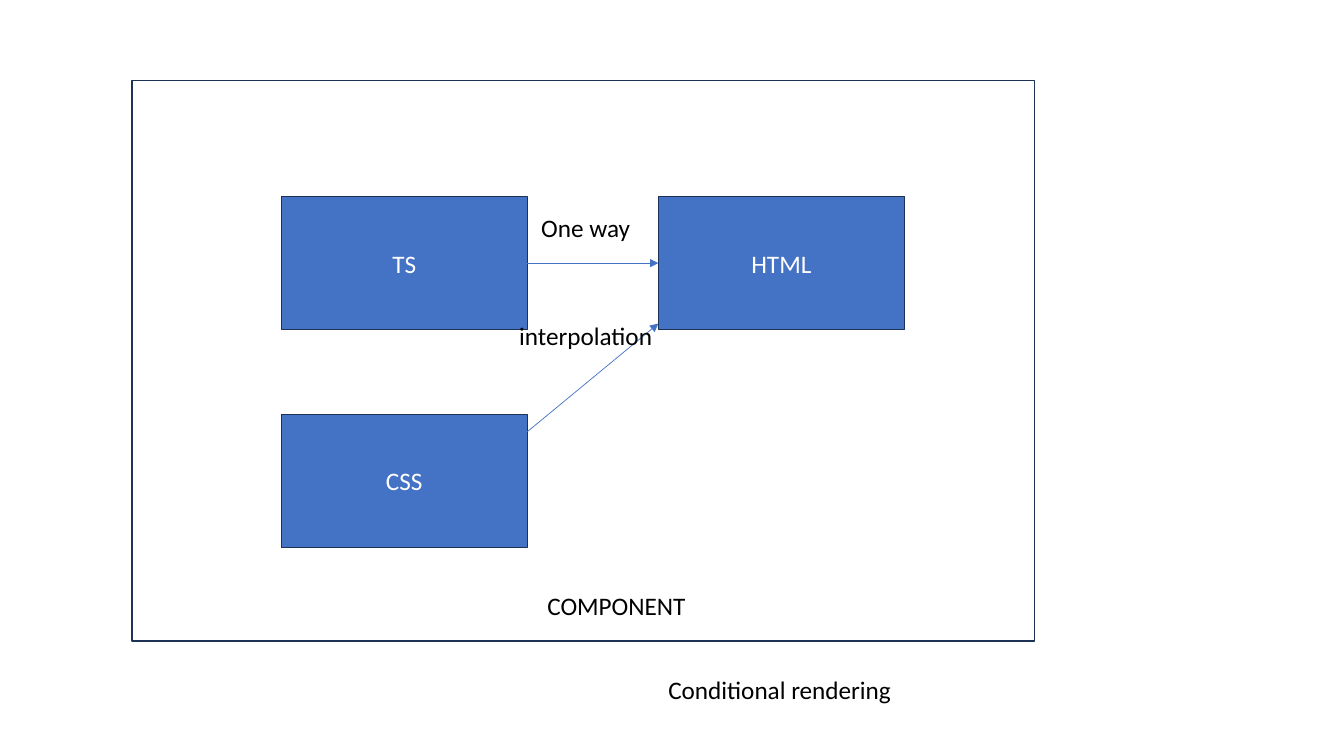
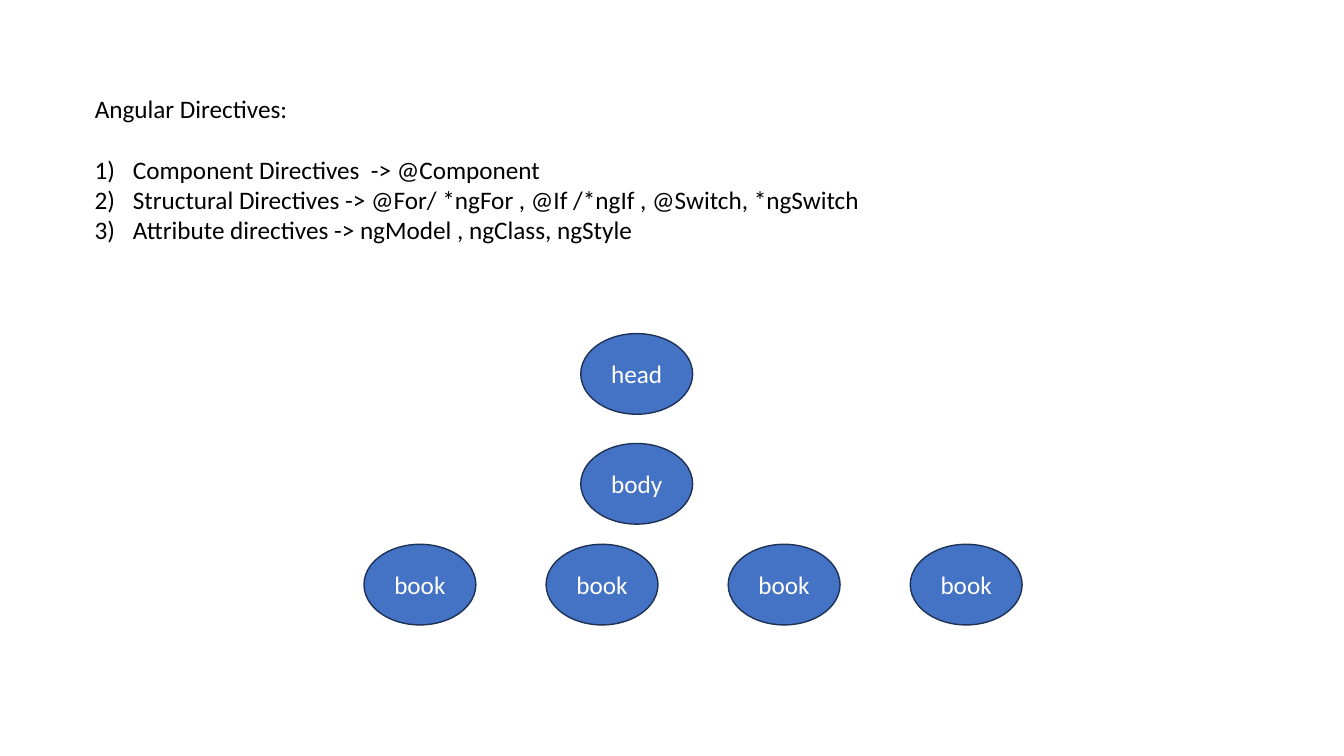
"""Build two slides: the parts of a component, and the Angular directives."""
from dataclasses import dataclass

from lxml.etree import SubElement
from pptx import Presentation
from pptx.dml.color import RGBColor
from pptx.enum.shapes import MSO_CONNECTOR as Connector, MSO_SHAPE as Shape
from pptx.enum.text import MSO_ANCHOR as Anchor, MSO_AUTO_SIZE as AutoSize, PP_ALIGN as Align
from pptx.oxml.ns import qn
from pptx.util import Inches, Pt


@dataclass(frozen=True)
class Theme:
    font: str = "Calibri"
    size: Pt = Pt(18)
    blue: RGBColor = RGBColor(0x44, 0x72, 0xC4)
    navy: RGBColor = RGBColor(0x1E, 0x32, 0x56)
    white: RGBColor = RGBColor(0xFF, 0xFF, 0xFF)
    black: RGBColor = RGBColor(0x00, 0x00, 0x00)
    outline: Pt = Pt(1)
    arrow: Pt = Pt(0.5)


theme = Theme()


def write(shape, lines, color, align, anchor):
    frame = shape.text_frame
    frame.word_wrap = True
    frame.vertical_anchor = anchor
    frame.text = "\n".join(lines)
    for paragraph in frame.paragraphs:
        paragraph.alignment = align
        paragraph.font.name = theme.font
        paragraph.font.size = theme.size
        paragraph.font.color.rgb = color


def add_outlined(slide, kind, left, top, width, height, label=None):
    shape = slide.shapes.add_shape(kind, Inches(left), Inches(top), Inches(width), Inches(height))
    shape.shadow.inherit = False
    shape.line.color.rgb = theme.navy
    shape.line.width = theme.outline
    if label:
        shape.fill.solid()
        shape.fill.fore_color.rgb = theme.blue
        write(shape, [label], theme.white, Align.CENTER, Anchor.MIDDLE)
    else:
        shape.fill.background()
    return shape


presentation = Presentation()
presentation.slide_width = Inches(13.33)
presentation.slide_height = Inches(7.5)
title_only, blank = presentation.slide_layouts[5], presentation.slide_layouts[6]

slide = presentation.slides.add_slide(blank)
boxes = {}
for label, left, top in [("HTML", 6.53, 1.95), ("TS", 2.79, 1.95), ("CSS", 2.79, 4.11)]:
    boxes[label] = add_outlined(slide, Shape.RECTANGLE, left, top, 2.44, 1.32, label)
add_outlined(slide, Shape.RECTANGLE, 1.31, 0.8, 8.95, 5.56)

binding = slide.shapes.add_connector(
    Connector.STRAIGHT, Inches(5.23), Inches(2.61), Inches(6.53), Inches(2.61))
binding.begin_connect(boxes["TS"], 3)
binding.end_connect(boxes["HTML"], 1)
styling = slide.shapes.add_connector(
    Connector.STRAIGHT, Inches(5.04), Inches(4.44), Inches(6.53), Inches(3.21))
for arrow in (binding, styling):
    arrow.line.color.rgb = theme.blue
    arrow.line.width = theme.arrow
    SubElement(arrow.line._get_or_add_ln(), qn("a:tailEnd"), type="triangle")
    SubElement(arrow._element.spPr, qn("a:effectLst"))

for text, left, top, width in [
    ("COMPONENT", 5.33, 5.81, 3.88),
    ("One way", 5.27, 2.06, 1.44),
    ("interpolation", 5.05, 3.13, 1.81),
    ("Conditional rendering", 6.53, 6.64, 3.24),
]:
    caption = slide.shapes.add_textbox(Inches(left), Inches(top), Inches(width), Inches(0.4))
    write(caption, [text], theme.black, Align.LEFT, Anchor.TOP)
    caption.text_frame.auto_size = AutoSize.SHAPE_TO_FIT_TEXT

slide = presentation.slides.add_slide(title_only)
title = slide.shapes.title
title.left, title.top, title.width, title.height = map(Inches, (0.84, 0.88, 11.68, 0.4))
write(title, ["Angular Directives:"], theme.black, Align.LEFT, Anchor.TOP)
title.text_frame.auto_size = AutoSize.NONE

directives = slide.shapes.add_textbox(Inches(0.84), Inches(1.48), Inches(11.68), Inches(1.01))
write(directives, [
    "Component Directives  -> @Component",
    "Structural Directives -> @For/ *ngFor , @If /*ngIf , @Switch, *ngSwitch",
    "Attribute directives -> ngModel , ngClass, ngStyle",
], theme.black, Align.LEFT, Anchor.TOP)
directives.text_frame.auto_size = AutoSize.SHAPE_TO_FIT_TEXT
for paragraph in directives.text_frame.paragraphs:
    properties = paragraph._p.get_or_add_pPr()
    properties.set("marL", str(Inches(0.38)))
    properties.set("indent", str(-Inches(0.38)))
    numbering = properties.makeelement(qn("a:buAutoNum"), {"type": "arabicParenR"})
    properties.insert(0, numbering)

nodes = [("head", 5.76, 3.31), ("body", 5.76, 4.4)]
nodes += [("book", 3.61 + 1.806 * column, 5.4) for column in range(4)]
for label, left, top in nodes:
    add_outlined(slide, Shape.OVAL, left, top, 1.11, 0.8, label)

presentation.save("out.pptx")
